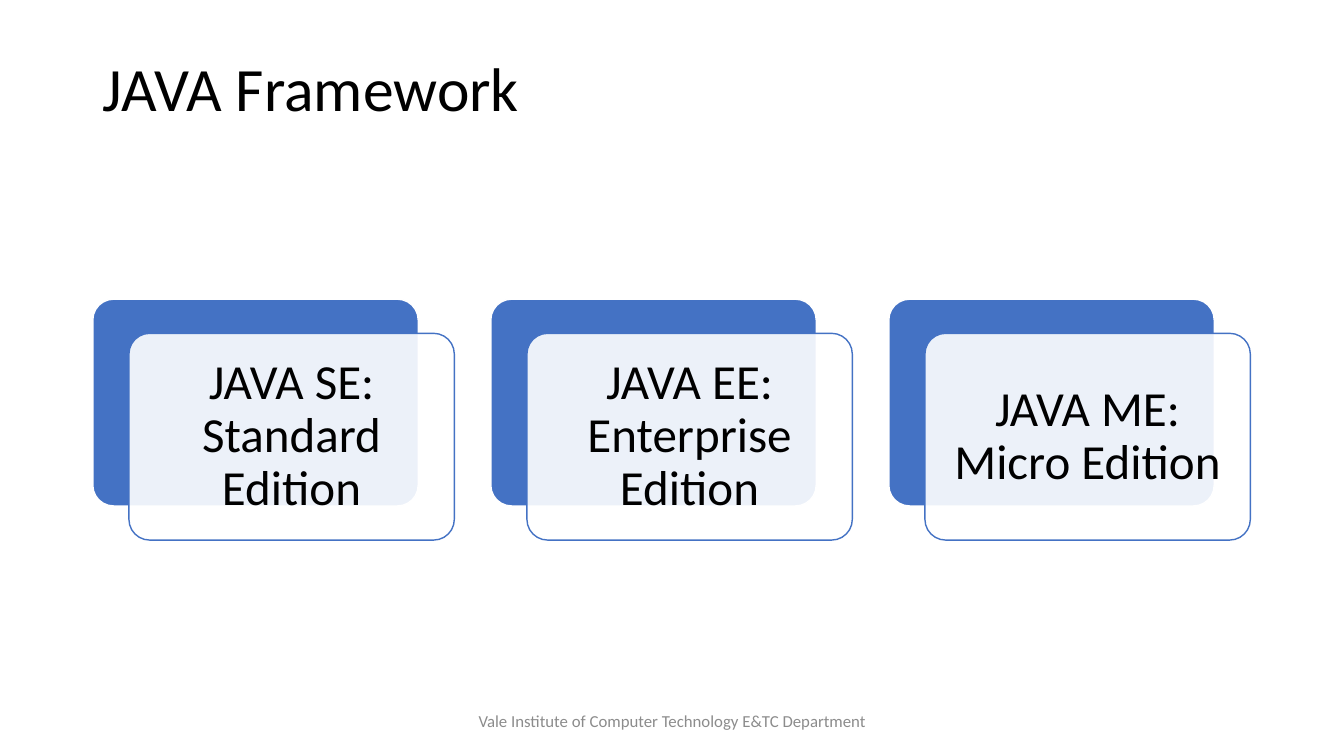
from lxml import etree
from pptx import Presentation
from pptx.dml.color import RGBColor
from pptx.enum.shapes import MSO_SHAPE
from pptx.enum.text import MSO_ANCHOR, PP_ALIGN
from pptx.oxml.ns import qn
from pptx.util import Cm, Pt

TITLE = "JAVA Framework"
EDITIONS = [
    "JAVA SE: Standard Edition",
    "JAVA EE: Enterprise Edition",
    "JAVA ME: Micro Edition",
]
FOOTER = "Vale Institute of Computer Technology E&TC Department"

FONT = "Calibri"
BLACK, WHITE, BLUE, GREY = "000000", "FFFFFF", "4472C4", "8C8C8C"

# Lengths in centimetres
CARD_LEFT, CARD_TOP = 2.34, 7.54
CARD_WIDTH, CARD_HEIGHT = 8.2, 5.21
CARD_PITCH = 10.03
FRONT_SHIFT_X, FRONT_SHIFT_Y = 0.91, 0.86
CARD_INSET = 0.38


def color(hex_string):
    return RGBColor.from_string(hex_string)


def write(shape, text, size, text_color, align, line_spacing=1.0):
    frame = shape.text_frame
    frame.word_wrap = True
    frame.vertical_anchor = MSO_ANCHOR.MIDDLE
    paragraph = frame.paragraphs[0]
    paragraph.text = text
    paragraph.alignment = align
    paragraph.line_spacing = line_spacing
    paragraph.font.name = FONT
    paragraph.font.size = Pt(size)
    paragraph.font.color.rgb = color(text_color)


def add_text(slide, box, *style):
    write(slide.shapes.add_textbox(*map(Cm, box)), *style)


def add_card(slide, left, top, fill, line):
    card = slide.shapes.add_shape(
        MSO_SHAPE.ROUNDED_RECTANGLE,
        Cm(left), Cm(top), Cm(CARD_WIDTH), Cm(CARD_HEIGHT))
    card.adjustments[0] = 0.1
    card.shadow.inherit = False
    card.fill.solid()
    card.fill.fore_color.rgb = color(fill)
    card.line.color.rgb = color(line)
    card.line.width = Pt(1)
    return card


def set_opacity(shape, percent):
    fill_color = shape.fill._xPr.find(qn("a:solidFill"))[0]
    etree.SubElement(fill_color, qn("a:alpha"), val=str(percent * 1000))


def add_edition(slide, left, text):
    """Blue card with a translucent labelled card shifted over it."""
    add_card(slide, left, CARD_TOP, BLUE, WHITE)
    front = add_card(slide, left + FRONT_SHIFT_X, CARD_TOP + FRONT_SHIFT_Y,
                     WHITE, BLUE)
    set_opacity(front, 90)
    frame = front.text_frame
    frame.margin_left = frame.margin_right = Cm(CARD_INSET)
    frame.margin_top = frame.margin_bottom = Cm(CARD_INSET)
    write(front, text, 35, BLACK, PP_ALIGN.CENTER, 0.9)


def main():
    presentation = Presentation()
    presentation.slide_width = Cm(33.87)
    presentation.slide_height = Cm(19.05)
    slide = presentation.slides.add_slide(presentation.slide_layouts[6])

    add_text(slide, (2.34, 1.02, 29.21, 2.59),
             TITLE, 44, BLACK, PP_ALIGN.LEFT, 0.9)
    for index, edition in enumerate(EDITIONS):
        add_edition(slide, CARD_LEFT + index * CARD_PITCH, edition)
    add_text(slide, (11.23, 17.65, 11.43, 1.02),
             FOOTER, 12, GREY, PP_ALIGN.CENTER)

    presentation.save("out.pptx")


if __name__ == "__main__":
    main()
